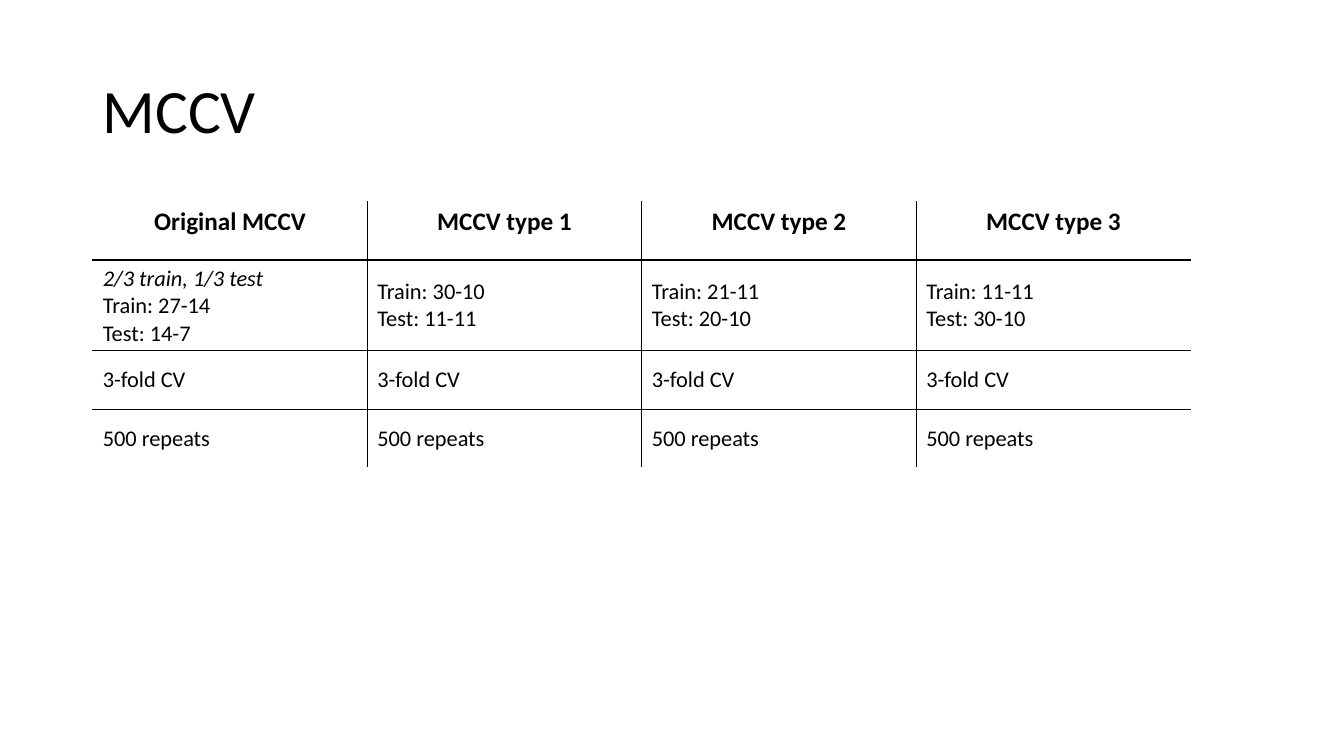
import dataclasses
import typing

import lxml.etree
import pptx
import pptx.dml.color
import pptx.enum.text
import pptx.oxml.ns
import pptx.util

Inches = pptx.util.Inches
Align = pptx.enum.text.PP_ALIGN
Anchor = pptx.enum.text.MSO_ANCHOR

COLORS = {"text": "000000", "rule": "000000", "edge": "FFFFFF"}
FONT = "Calibri"
LEFT, WIDTH, ROW = Inches(0.92), Inches(10.89), Inches(0.58)


@dataclasses.dataclass
class Scheme:
    """One column: a validation scheme and its split."""
    name: str
    train: str
    test: str
    note: str = ""
    folds: str = "3-fold CV"
    runs: str = "500 repeats"


SCHEMES = [
    Scheme("Original MCCV", "27-14", "14-7", "2/3 train, 1/3 test"),
    Scheme("MCCV type 1", "30-10", "11-11"),
    Scheme("MCCV type 2", "21-11", "20-10"),
    Scheme("MCCV type 3", "11-11", "30-10"),
]


def write(frame: typing.Any, lines: list[str], *, size: float = 16,
          bold: bool = False, align: typing.Any = Align.LEFT,
          space: float = 1.0, slant: str = "") -> None:
    """Fill a frame with one paragraph per line; slant is the italic line."""
    for index, line in enumerate(lines):
        para = frame.add_paragraph() if index else frame.paragraphs[0]
        para.alignment = align
        para.line_spacing = space
        run = para.add_run()
        run.text = line
        font = run.font
        font.name, font.size, font.bold = FONT, pptx.util.Pt(size), bold
        font.italic = line == slant
        font.color.rgb = pptx.dml.color.RGBColor.from_string(COLORS["text"])


def border(cell: typing.Any, edges: dict[str, bool]) -> None:
    """Rule each side of a cell, in the edge colour on the table's rim."""
    qn = pptx.oxml.ns.qn
    props = cell._tc.get_or_add_tcPr()
    for side, rim in edges.items():
        line = lxml.etree.SubElement(props, qn(f"a:ln{side}"),
                                     w=str(pptx.util.Pt(1)))
        fill = lxml.etree.SubElement(line, qn("a:solidFill"))
        lxml.etree.SubElement(fill, qn("a:srgbClr"),
                              val=COLORS["edge" if rim else "rule"])


def draw_title(slide: typing.Any, text: str) -> None:
    """Place the slide title."""
    frame = slide.shapes.add_textbox(
        LEFT, Inches(0.4), Inches(11.5), Inches(1.45)).text_frame
    frame.word_wrap = True
    frame.vertical_anchor = Anchor.MIDDLE
    write(frame, [text], size=44, space=0.9)


def draw_table(slide: typing.Any, schemes: list[Scheme]) -> None:
    """Draw the schemes side by side, one per column."""
    rows, cols = 4, len(schemes)
    table = slide.shapes.add_table(
        rows, cols, LEFT, Inches(2), WIDTH, ROW * rows).table
    table.first_row = table.horz_banding = False
    for row in table.rows:
        row.height = ROW
    for col, scheme in enumerate(schemes):
        table.columns[col].width = WIDTH // cols
        split = [f"Train: {scheme.train}", f"Test: {scheme.test}"]
        if scheme.note:
            split.insert(0, scheme.note)
        parts = [[scheme.name], split, [scheme.folds], [scheme.runs]]
        for row, lines in enumerate(parts):
            cell = table.cell(row, col)
            border(cell, {"L": col == 0, "R": col == cols - 1,
                          "T": row == 0, "B": row == rows - 1})
            cell.fill.background()
            if row == 0:
                write(cell.text_frame, lines, size=18, bold=True,
                      align=Align.CENTER)
            else:
                cell.vertical_anchor = Anchor.MIDDLE
                write(cell.text_frame, lines, slant=scheme.note)


def main() -> None:
    """Build and save the slide."""
    deck = pptx.Presentation()
    deck.slide_width, deck.slide_height = Inches(13.33), Inches(7.5)
    slide = deck.slides.add_slide(deck.slide_layouts[6])
    draw_title(slide, "MCCV")
    draw_table(slide, SCHEMES)
    deck.save("out.pptx")


main()
